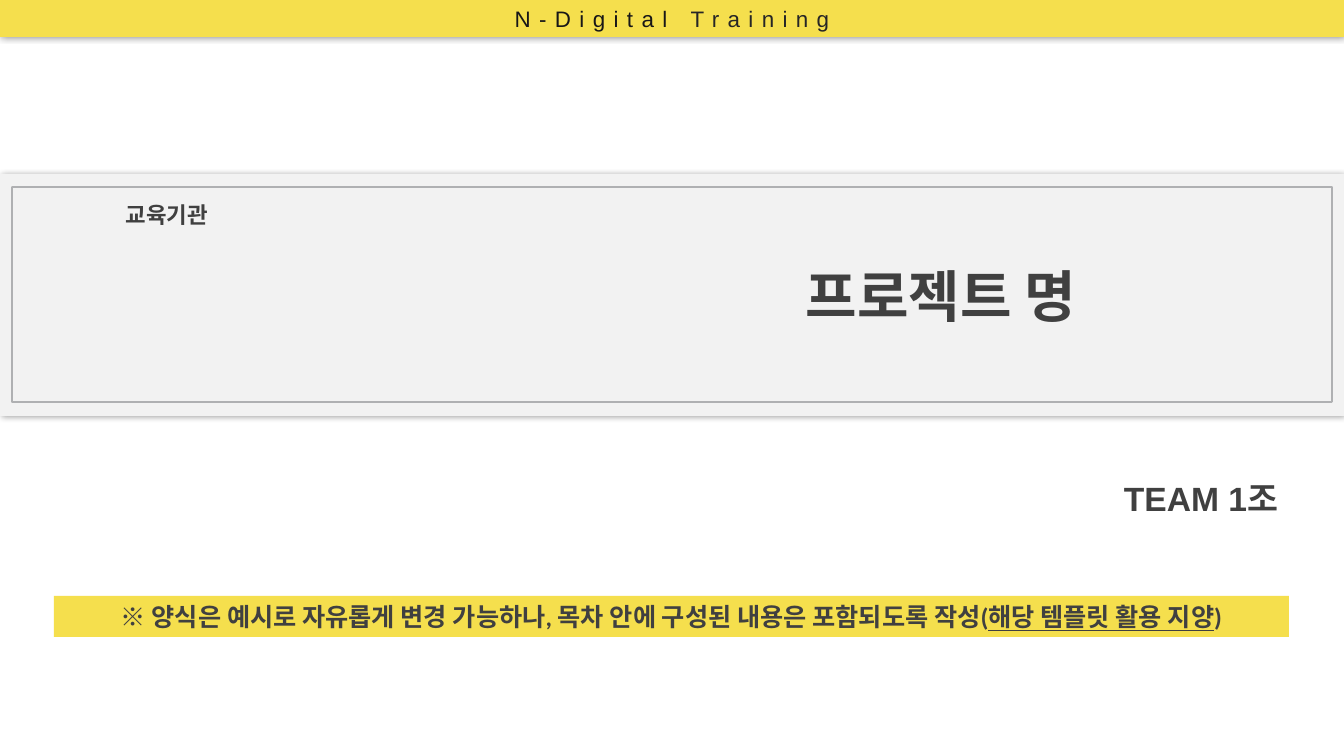
from lxml import etree
from pptx import Presentation
from pptx.dml.color import RGBColor
from pptx.enum.shapes import MSO_SHAPE
from pptx.enum.text import MSO_ANCHOR, PP_ALIGN
from pptx.oxml import parse_xml
from pptx.oxml.ns import nsdecls, qn
from pptx.util import Emu, Pt

RECTANGLE = MSO_SHAPE.RECTANGLE
TOP, MIDDLE = MSO_ANCHOR.TOP, MSO_ANCHOR.MIDDLE
CENTER, RIGHT = PP_ALIGN.CENTER, PP_ALIGN.RIGHT
PAGE_WIDTH, PAGE_HEIGHT = 1344, 756
YELLOW, PALE, GRAY, DARK = "F5DF4D", "F2F2F2", "939597", "404040"


def px(length):
    """Turn pixels into EMU."""
    return Emu(round(length * 914400 / 100.8))


def color(value):
    """Turn a hex string into a colour."""
    return RGBColor.from_string(value)


def add_rectangle(page, box, fill=None):
    """Add a rectangle without line or shadow."""
    shape = page.shapes.add_shape(RECTANGLE, *map(px, box))
    shape.shadow.inherit = False
    shape.line.fill.background()
    if fill:
        shape.fill.solid()
        shape.fill.fore_color.rgb = color(fill)
    else:
        shape.fill.background()
    return shape


def add_soft_shadow(shape):
    """Give a shape a blurred black shadow."""
    effects = shape.element.spPr.find(qn("a:effectLst"))
    effects.append(parse_xml(
        f'<a:outerShdw {nsdecls("a")} blurRad="63500" dist="0" algn="ctr">'
        '<a:srgbClr val="000000"><a:alpha val="40000"/></a:srgbClr></a:outerShdw>'))


def write(shape, texts, size, font="Arial", bold=True, align=CENTER, anchor=TOP):
    """Write one paragraph of runs and return it."""
    frame = shape.text_frame
    frame.word_wrap = True
    frame.vertical_anchor = anchor
    para = frame.paragraphs[0]
    para.alignment = align
    para.font.name, para.font.size, para.font.bold = font, Pt(size), bold
    para.font.color.rgb = color(DARK)
    for text in texts:
        para.add_run().text = text
    return para


def add_label(page, box, text, size, **style):
    """Add a text box holding one line."""
    label = page.shapes.add_textbox(*map(px, box))
    return label, write(label, [text], size, **style)


def add_header(page, box):
    """Add the yellow course bar."""
    bar = add_rectangle(page, box, YELLOW)
    add_soft_shadow(bar)
    para = write(bar, ["N-Digital ", "Training"], 16, bold=False)
    for span, shade in zip(para.runs, ("181717", "262626")):
        span.font.color.rgb = color(shade)
        span.font._element.set("spc", "600")


def add_title_band(page, box):
    """Add the gray band with its frame, institution and project name."""
    left, top, width, height = box
    add_soft_shadow(add_rectangle(page, box, PALE))
    add_label(page, (left + 22, top + 22, 290, 37), "교육기관", 16, font="Noto Sans CJK KR")
    title, _ = add_label(page, (left + 568, top + 87, 746, 68), "프로젝트 명", 40)
    title.text_frame.margin_top = title.text_frame.margin_bottom = 0
    frame = add_rectangle(page, (left + 12, top + 13, width - 24, height - 27))
    frame.line.width = Pt(1.25)
    frame.line.color.rgb = color(GRAY)
    shade = frame.element.spPr.find(".//" + qn("a:ln")).find(".//" + qn("a:srgbClr"))
    etree.SubElement(shade, qn("a:alpha")).set("val", "70000")


def add_team(page, box):
    """Add the team name at the right."""
    label, para = add_label(page, box, "TEAM 1조", 24, align=RIGHT)
    label.text_frame.margin_top = label.text_frame.margin_bottom = 0
    label.text_frame.margin_right = px(30)
    para.line_spacing = 1.5


def add_notice(page, box):
    """Add the yellow notice with its underlined remark."""
    texts = ["※ 양식은 예시로 자유롭게 변경 가능하나, 목차 안에 구성된 내용은 포함되도록 작성(",
             "해당 템플릿 활용 지양", ")"]
    para = write(add_rectangle(page, box, YELLOW), texts, 18, font="Calibri", anchor=MIDDLE)
    para.runs[1].font.underline = True


def main():
    """Build the cover slide."""
    deck = Presentation()
    deck.slide_width, deck.slide_height = px(PAGE_WIDTH), px(PAGE_HEIGHT)
    page = deck.slides.add_slide(deck.slide_layouts[6])
    add_team(page, (740, 458, 568, 53))
    add_notice(page, (54, 596, 1235, 41))
    add_title_band(page, (0, 174, PAGE_WIDTH, 242))
    add_header(page, (0, 0, PAGE_WIDTH, 37))
    deck.save("out.pptx")


if __name__ == "__main__":
    main()
